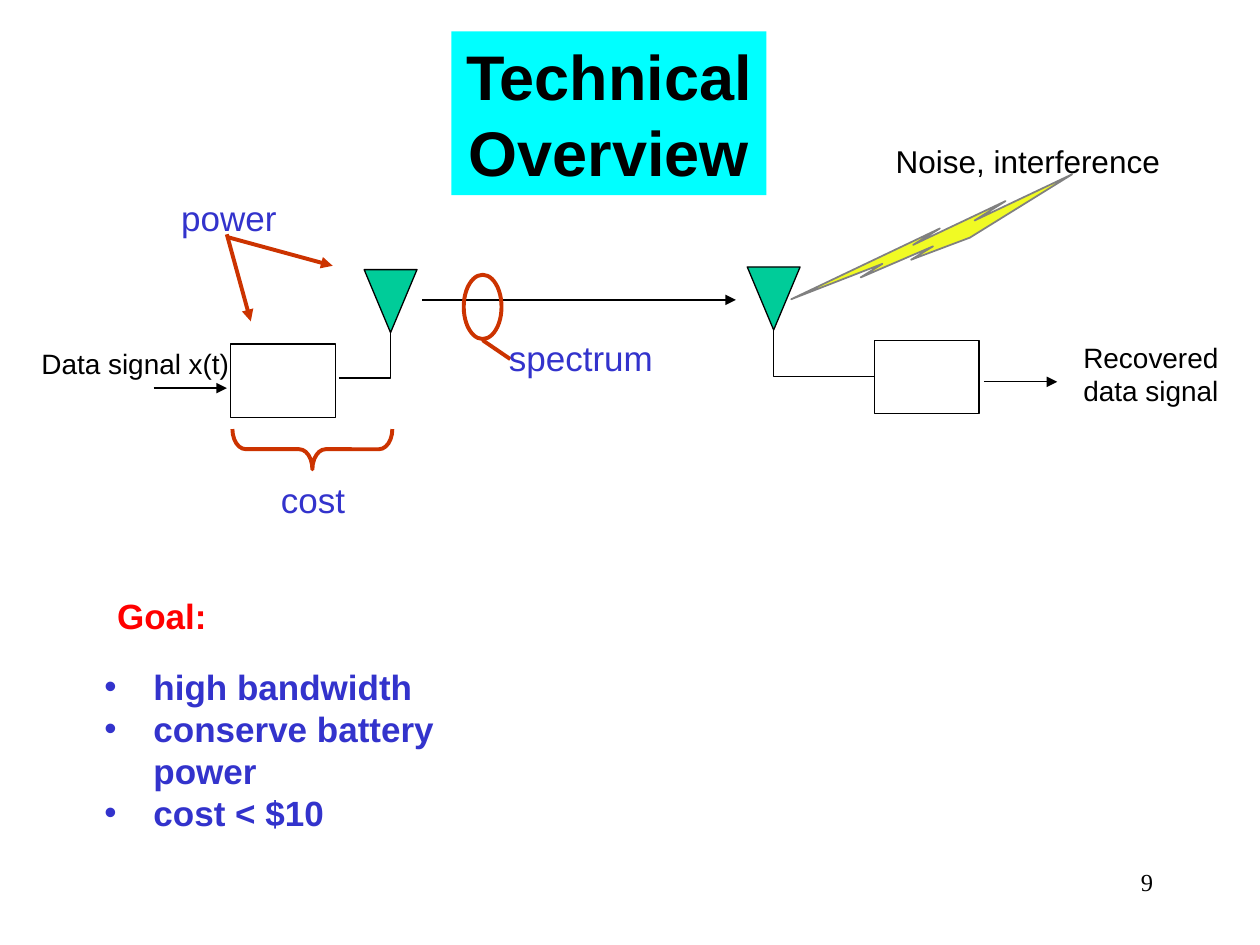
import dataclasses
import pptx
import pptx.dml.color
import pptx.enum.shapes
import pptx.enum.text
import pptx.oxml.ns
import pptx.util
from lxml import etree

Pt = pptx.util.Pt
Shape = pptx.enum.shapes.MSO_SHAPE
Connector = pptx.enum.shapes.MSO_CONNECTOR
Align = pptx.enum.text.PP_ALIGN
qn = pptx.oxml.ns.qn


@dataclasses.dataclass(frozen=True)
class Theme:
    ink: str = "000000"
    label: str = "3333CC"
    marker: str = "CC3300"
    goal: str = "FF0000"
    antenna: str = "00CC99"
    banner: str = "00FFFF"
    bolt: str = "F0FA24"
    bolt_edge: str = "808080"
    sans: str = "Arial"
    serif: str = "Times New Roman"
    title_size: float = 36
    label_size: float = 20
    noise_size: float = 18
    signal_size: float = 16
    number_size: float = 14
    thin: float = 0.75
    medium: float = 1
    thick: float = 2.25


@dataclasses.dataclass(frozen=True)
class Box:
    left: float
    top: float
    width: float
    height: float

    def inner(self, left, top, width, height):
        return Box(self.left + left, self.top + top, width, height)

    def point(self, across, down):
        return Pt(self.left + across), Pt(self.top + down)

    def lengths(self):
        return [Pt(value) for value in dataclasses.astuple(self)]


THEME = Theme()


def color(value):
    return pptx.dml.color.RGBColor.from_string(value)


def write(shape, text, size, ink=THEME.ink, bold=False, font=THEME.sans,
          align=Align.LEFT, wrap=False):
    frame = shape.text_frame
    frame.text = text
    frame.word_wrap = wrap
    for para in frame.paragraphs:
        para.alignment = align
        for span in para.runs:
            span.font.name = font
            span.font.size = Pt(size)
            span.font.bold = bold
            span.font.color.rgb = color(ink)


def add_text(page, box, text, size, **style):
    shape = page.shapes.add_textbox(*box.lengths())
    write(shape, text, size, **style)
    return shape


def add_label(page, box, text):
    add_text(page, box, text, THEME.label_size, ink=THEME.label, wrap=True)


def add_figure(page, kind, box, fill=None, line=THEME.ink, weight=THEME.thin):
    shape = page.shapes.add_shape(kind, *box.lengths())
    shape.shadow.inherit = False
    if fill:
        shape.fill.solid()
        shape.fill.fore_color.rgb = color(fill)
    else:
        shape.fill.background()
    if line:
        shape.line.color.rgb = color(line)
        shape.line.width = Pt(weight)
    else:
        shape.line.fill.background()
    return shape


def add_line(page, start, end, ink=THEME.ink, weight=THEME.thin, arrow=True,
             kind=Connector.STRAIGHT):
    line = page.shapes.add_connector(kind, *start, *end)
    line.line.color.rgb = color(ink)
    line.line.width = Pt(weight)
    if arrow:
        etree.SubElement(line.line._get_or_add_ln(), qn("a:tailEnd"), type="triangle")
    etree.SubElement(line._element.spPr, qn("a:effectLst"))
    return line


def add_feed(page, start, end):
    feed = add_line(page, start, end, arrow=False, kind=Connector.ELBOW)
    feed._element.spPr.find(qn("a:prstGeom")).set("prst", "bentConnector2")


def add_antenna(page, area, left, top):
    add_figure(page, Shape.FLOWCHART_MERGE, area.inner(left, top, 30.2, 36), THEME.antenna)


def add_radio(page, area, left, top):
    add_figure(page, Shape.RECTANGLE, area.inner(left, top, 59.8, 41.8))


def add_title(page, box):
    banner = add_figure(page, Shape.RECTANGLE, box, THEME.banner, line=None)
    write(banner, "Technical\nOverview", THEME.title_size, bold=True, align=Align.CENTER)


def add_transmitter(page, area):
    add_antenna(page, area, 192.1, 46.1)
    add_feed(page, area.point(177.7, 108), area.point(207.2, 82.1))
    add_text(page, area.inner(0.6, 86.4, 126.7, 26.6), "Data signal x(t)",
             THEME.signal_size, wrap=True)
    add_line(page, area.point(71.8, 113.8), area.point(113.6, 113.8))
    add_radio(page, area, 115.8, 88.6)
    add_label(page, area.inner(80.5, 0.7, 72, 31.7), "power")
    for start, end in [((113.6, 25.9), (127.3, 75.6)), ((113.6, 27.4), (174.1, 43.9))]:
        add_line(page, area.point(*start), area.point(*end), THEME.marker, THEME.thick)
    brace = add_figure(page, Shape.RIGHT_BRACE, area.inner(151, 103, 23, 91.4),
                       line=THEME.marker, weight=THEME.thick)
    brace.adjustments[0] = 0.33
    brace.rotation = 90
    add_label(page, area.inner(137.4, 162, 54, 31.7), "cost")


def add_channel(page, area):
    add_line(page, area.point(1.2, 15.4), area.point(180.5, 15.4), weight=THEME.medium)
    add_figure(page, Shape.OVAL, area.inner(25, 1, 21.6, 36.7),
               line=THEME.marker, weight=THEME.thick)
    add_line(page, area.point(35.8, 38.4), area.point(51.6, 49.2),
             THEME.marker, THEME.thick, arrow=False)
    add_label(page, area.inner(43.7, 32.6, 100, 31.7), "spectrum")


def add_receiver(page, area):
    add_antenna(page, area, 1, 76.6)
    add_feed(page, area.point(73.7, 139.3), area.point(16.1, 112.6))
    add_radio(page, area, 73.7, 118.4)
    add_line(page, area.point(136.3, 142.2), area.point(178.1, 142.2))
    add_text(page, area.inner(186, 114.8, 91.4, 46.1), "Recovered\ndata signal",
             THEME.signal_size)
    bolt = add_figure(page, Shape.LIGHTNING_BOLT, area.inner(19.7, 51.4, 175, 18.7),
                      THEME.bolt, THEME.bolt_edge, THEME.medium)
    bolt.rotation = 151
    add_text(page, area.inner(78.7, 1.8, 165.6, 28.8), "Noise, interference",
             THEME.noise_size)


def add_goals(page, area):
    add_text(page, area.inner(7.8, 0.2, 65.5, 31.7), "Goal:", THEME.label_size,
             ink=THEME.goal, bold=True)
    goals = add_text(page, area.inner(0.6, 40.6, 257, 104),
                     "high bandwidth\nconserve battery power\ncost < $10",
                     THEME.label_size, ink=THEME.label, bold=True, wrap=True)
    for para in goals.text_frame.paragraphs:
        properties = para._p.get_or_add_pPr()
        properties.set("marL", str(Pt(28)))
        properties.set("indent", str(-Pt(28)))
        tint = etree.SubElement(properties, qn("a:buClr"))
        etree.SubElement(tint, qn("a:srgbClr"), val=THEME.label)
        etree.SubElement(properties, qn("a:buFont"), typeface=THEME.sans)
        etree.SubElement(properties, qn("a:buChar"), char="•")


def add_page_number(page, box):
    add_text(page, box, "9", THEME.number_size, font=THEME.serif,
             align=Align.RIGHT, wrap=True)


def main():
    deck = pptx.Presentation()
    deck.slide_width, deck.slide_height = Pt(720), Pt(540)
    page = deck.slides.add_slide(deck.slide_layouts[6])
    add_goals(page, Box(52, 336, 258, 145))
    add_transmitter(page, Box(16, 108, 224, 194))
    add_channel(page, Box(240, 156, 186, 65))
    add_receiver(page, Box(426, 76, 278, 162))
    add_title(page, Box(258, 18, 180, 93.6))
    add_page_number(page, Box(516.2, 491.8, 149.8, 36))
    deck.save("out.pptx")


if __name__ == "__main__":
    main()
